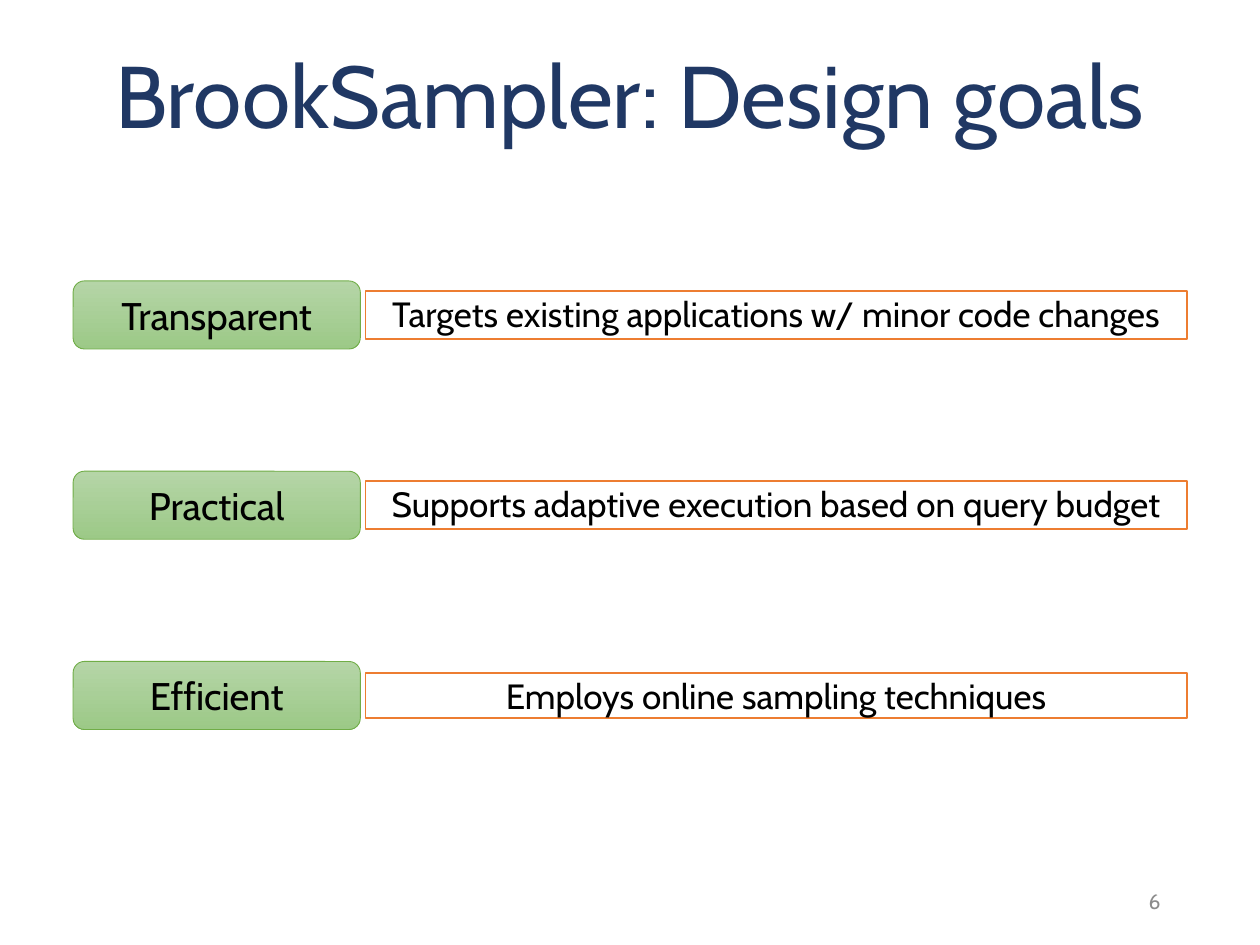
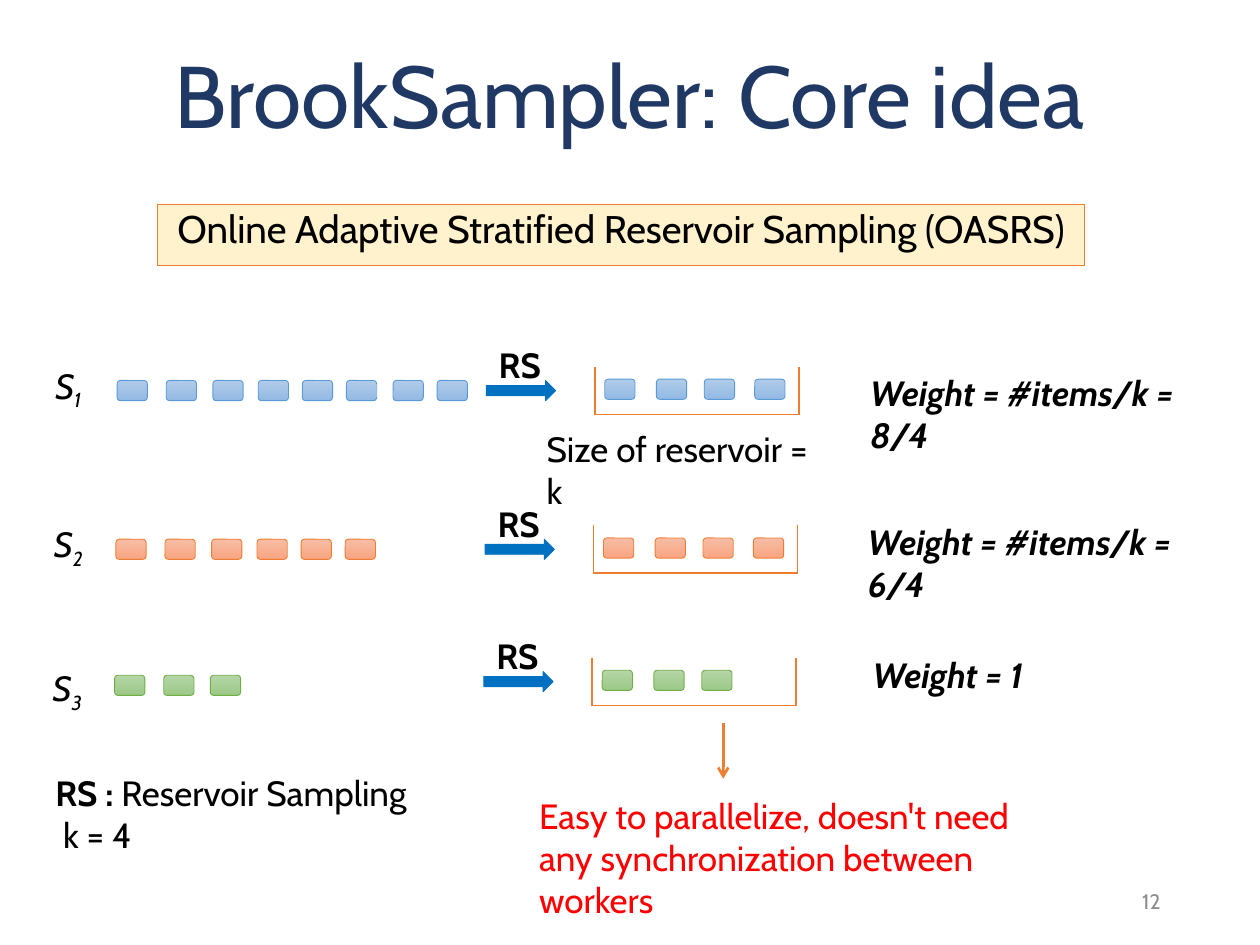
from dataclasses import dataclass

from lxml.etree import SubElement
from pptx import Presentation
from pptx.dml.color import RGBColor
from pptx.enum.shapes import MSO_CONNECTOR as Connector, MSO_SHAPE as Shape
from pptx.enum.text import MSO_ANCHOR as Anchor, MSO_AUTO_SIZE as AutoSize, PP_ALIGN as Align
from pptx.oxml.ns import qn
from pptx.util import Inches, Pt


@dataclass(frozen=True)
class Theme:
    font: str = "Cabin"
    title: str = "203864"
    text: str = "000000"
    number: str = "8C8C8C"
    conclusion: str = "FF0000"
    accent: str = "ED7D31"
    arrow: str = "0070C0"
    paper: str = "FFFFFF"
    banner: str = "FFF2CC"
    blue: tuple = ("B1CBE9", "93B9E4", "5B9BD5")
    orange: tuple = ("F7BDA5", "F8A582", "ED7D31")
    green: tuple = ("B5D5A7", "9CC987", "70AD47")
    title_size: int = 50
    heading_size: int = 22
    body_size: int = 20
    number_size: int = 12
    thin: float = 0.5
    medium: float = 1
    thick: float = 1.5


THEME = Theme()
SYSTEM = "BrookSampler"
ITEM_SIZE = (0.24, 0.16)
ITEM_OFFSETS = (0, 0.39, 0.76, 1.12, 1.47, 1.82, 2.19, 2.54)
SAMPLE_OFFSETS = (0, 0.41, 0.79, 1.19)
TRAY_SIZE = (1.62, 0.38)


@dataclass(frozen=True)
class Stream:
    index: str
    left: float
    top: float
    flow_top: float
    label_top: float
    weight_at: tuple
    weight: str
    colors: tuple
    items: int
    samples: int


STREAMS = (
    Stream("1", 0.93, 3.02, 3.02, 2.84, (6.81, 2.9), "Weight = #items/k = 8/4", THEME.blue, 8, 4),
    Stream("2", 0.92, 4.28, 4.28, 4.1, (6.79, 4.08), "Weight = #items/k = 6/4", THEME.orange, 6, 4),
    Stream("3", 0.91, 5.36, 5.33, 5.24, (6.83, 5.14), "Weight = 1", THEME.green, 3, 3),
)
GOALS = (
    ("Transparent", "Targets existing applications w/ minor code changes", 0.38),
    ("Practical", "Supports adaptive execution based on query budget", 0.38),
    ("Efficient", "Employs online sampling techniques", 0.36),
)


def rgb(color):
    return RGBColor.from_string(color)


def write(frame, *paragraphs, size=THEME.body_size, color=THEME.text, bold=False,
          italic=False, align=Align.LEFT, anchor=Anchor.TOP, spacing=None):
    frame.word_wrap = True
    frame.auto_size = AutoSize.NONE
    frame.vertical_anchor = anchor
    for position, runs in enumerate(paragraphs):
        paragraph = frame.paragraphs[0] if position == 0 else frame.add_paragraph()
        paragraph.alignment = align
        if spacing:
            paragraph.line_spacing = spacing
        for words, changes in [(runs, {})] if isinstance(runs, str) else runs:
            run = paragraph.add_run()
            run.text = words
            run.font.name = THEME.font
            run.font.size = Pt(size)
            run.font.color.rgb = rgb(color)
            run.font.bold = changes.get("bold", bold)
            run.font.italic = italic
            if "baseline" in changes:
                run.font._element.set("baseline", str(changes["baseline"]))


def add_text(slide, box, *paragraphs, **style):
    label = slide.shapes.add_textbox(*map(Inches, box))
    write(label.text_frame, *paragraphs, **style)


def add_block(slide, kind, box, fill, line, weight=THEME.thin):
    block = slide.shapes.add_shape(kind, *map(Inches, box))
    block.shadow.inherit = False
    if isinstance(fill, tuple):
        block.fill.gradient()
        block.fill.gradient_angle = 270
        for stop, color in zip(block.fill.gradient_stops, fill):
            stop.color.rgb = rgb(color)
    else:
        block.fill.solid()
        block.fill.fore_color.rgb = rgb(fill)
    block.line.color.rgb = rgb(line)
    block.line.width = Pt(weight)
    return block


def add_rounded(slide, box, colors):
    return add_block(slide, Shape.ROUNDED_RECTANGLE, box, colors[:2], colors[2])


def add_line(slide, start, end, weight=THEME.medium, arrowhead=False):
    line = slide.shapes.add_connector(Connector.STRAIGHT, *map(Inches, start + end))
    line.line.color.rgb = rgb(THEME.accent)
    line.line.width = Pt(weight)
    if arrowhead:
        SubElement(line.line._get_or_add_ln(), qn("a:tailEnd"), type="arrow")
    SubElement(line._element.spPr, qn("a:effectLst"))


def add_titled_slide(deck, topic, number):
    slide = deck.slides.add_slide(deck.slide_layouts[5])
    heading = slide.shapes.title
    heading.left, heading.top, heading.width, heading.height = map(Inches, (0.69, 0.3, 8.62, 0.99))
    write(heading.text_frame, f"{SYSTEM}: {topic}", size=THEME.title_size, color=THEME.title,
          align=Align.CENTER, anchor=Anchor.MIDDLE, spacing=0.9)
    add_text(slide, (7.06, 6.95, 2.25, 0.4), number, size=THEME.number_size,
             color=THEME.number, align=Align.RIGHT, anchor=Anchor.MIDDLE)
    return slide


def add_goal(slide, box, name, meaning, meaning_height):
    left, top, width, height = box
    name_width, gap = 2.28, 0.04
    badge = add_rounded(slide, (left, top, name_width, height), THEME.green)
    write(badge.text_frame, name, size=THEME.heading_size,
          align=Align.CENTER, anchor=Anchor.MIDDLE)
    meaning_box = (left + name_width + gap, top + (height - meaning_height) / 2,
                   width - name_width - gap, meaning_height)
    panel = add_block(slide, Shape.RECTANGLE, meaning_box, THEME.paper, THEME.accent, THEME.medium)
    write(panel.text_frame, meaning, align=Align.CENTER, spacing=0.9)


def add_items(slide, left, top, offsets, colors):
    for offset in offsets:
        add_rounded(slide, (left + offset, top) + ITEM_SIZE, colors)


def add_reservoir(slide, left, top, samples, colors):
    width, height = TRAY_SIZE
    right, bottom = left + width, top + height
    corners = ((left, top), (left, bottom), (right, bottom), (right, top))
    for start, end in zip(corners, corners[1:]):
        add_line(slide, start, end)
    add_items(slide, left + 0.08, top + 0.1, SAMPLE_OFFSETS[:samples], colors)


def add_stream(slide, stream):
    left, flow_top = stream.left, stream.flow_top
    arrow_left = left + 2.93
    add_text(slide, (left - 0.59, stream.label_top, 0.45, 0.44),
             [("S", {}), (stream.index, {"baseline": -25000})], italic=True)
    add_items(slide, left, stream.top, ITEM_OFFSETS[:stream.items], stream.colors)
    add_block(slide, Shape.RIGHT_ARROW, (arrow_left, flow_top, 0.55, 0.16),
              THEME.arrow, THEME.arrow)
    add_text(slide, (arrow_left, flow_top - 0.34, 0.62, 0.44), "RS", bold=True)
    add_reservoir(slide, left + 3.79, flow_top - 0.11, stream.samples, stream.colors)
    add_text(slide, stream.weight_at + (3.04, 0.44), stream.weight, bold=True, italic=True)


def add_conclusion(slide, box):
    left, top, width, height = box
    arrow_x = left + 1.56
    add_line(slide, (arrow_x, top), (arrow_x, top + 0.44), THEME.thick, arrowhead=True)
    add_text(slide, (left, top + 0.52, width, height - 0.52),
             "Easy to parallelize, doesn't need any synchronization between workers",
             color=THEME.conclusion)


def build_design_goals(deck):
    slide = add_titled_slide(deck, "Design goals", "6")
    for row, goal in enumerate(GOALS):
        add_goal(slide, (0.58, 2.23 + row * 1.51, 8.84, 0.54), *goal)


def build_core_idea(deck):
    slide = add_titled_slide(deck, "Core idea", "12")
    banner = add_block(slide, Shape.RECTANGLE, (1.25, 1.62, 7.36, 0.49),
                       THEME.banner, THEME.accent)
    write(banner.text_frame, "Online Adaptive Stratified Reservoir Sampling (OASRS)",
          size=THEME.heading_size, align=Align.CENTER, spacing=0.9)
    for stream in STREAMS:
        add_stream(slide, stream)
    add_text(slide, (4.24, 3.34, 2.42, 0.44), "Size of reservoir = k")
    add_text(slide, (0.34, 6.07, 3.08, 0.77),
             [("RS : ", {"bold": True}), ("Reservoir Sampling", {})], " k = 4")
    add_conclusion(slide, (4.18, 5.74, 3.94, 1.63))


def main():
    deck = Presentation()
    deck.slide_width, deck.slide_height = Inches(10), Inches(7.5)
    build_design_goals(deck)
    build_core_idea(deck)
    deck.save("out.pptx")


if __name__ == "__main__":
    main()
